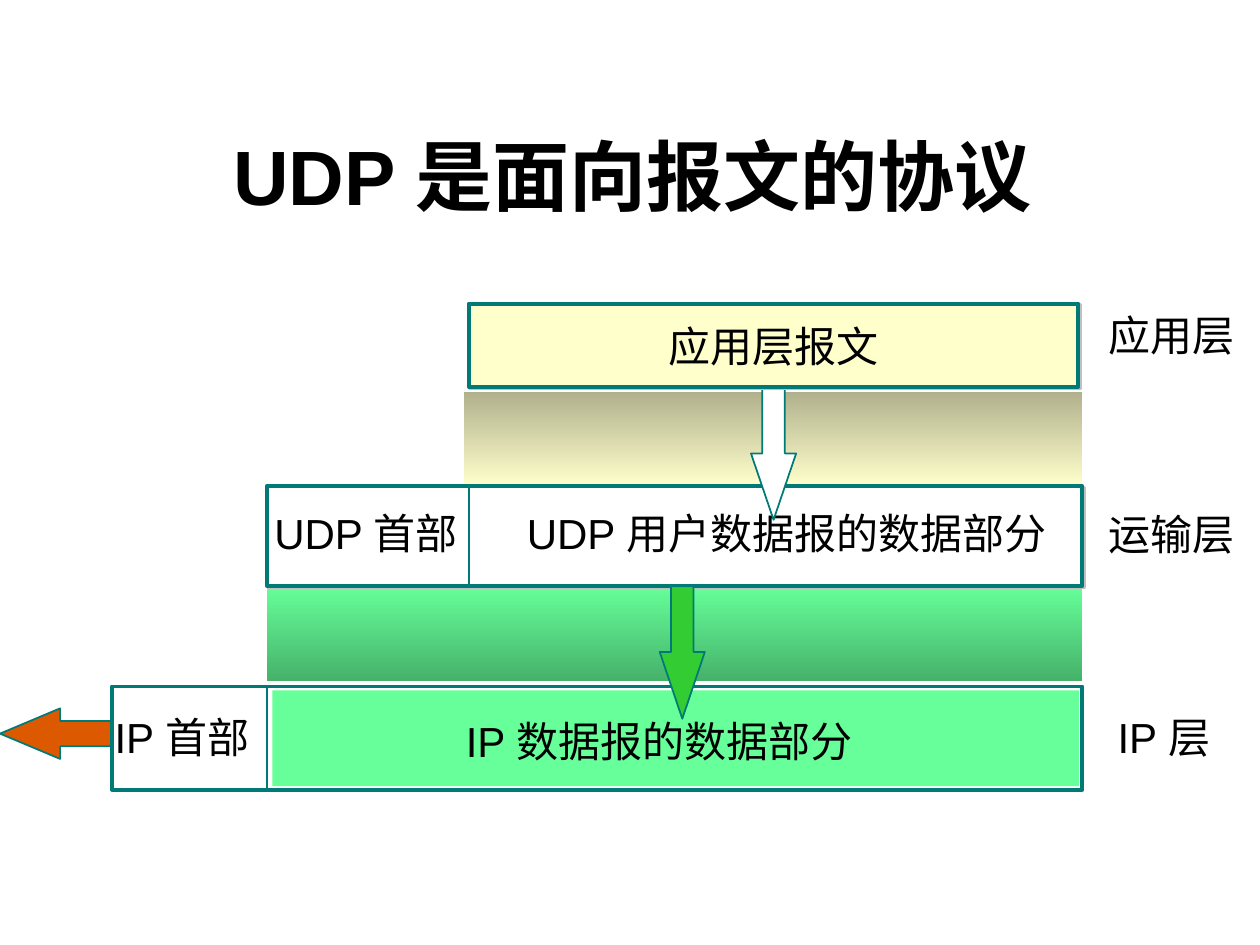
import pptx
import pptx.util
import pptx.dml.color
import pptx.enum.shapes
import pptx.enum.text
import pptx.oxml
import pptx.oxml.ns

Cm, Pt = pptx.util.Cm, pptx.util.Pt
Kind = pptx.enum.shapes.MSO_SHAPE
Anchor = pptx.enum.text.MSO_ANCHOR
Align = pptx.enum.text.PP_ALIGN

THEME = dict(
    font="Arial", head=44, body=24, thick=2.25, thin=1,
    ink="000000", edge="007A77", paper="FFFFFF", cream="FFFFCC",
    mint="66FF99", moss="46B16A", khaki="B1B18D", shade="C0C0C0",
    rust="DC5900", leaf="33CC33",
)

# All places are in cm: left, top, width, height
RIGHT = 21.82
TITLE = ("UDP 是面向报文的协议 ", (2.11, 0.53, 21.64, 4.06))
APP = ("应用层报文", (9.45, 6.12, 12.29, 1.68))
# left, top, height, colour above, colour below
BANDS = [
    (5.38, 11.81, 1.93, "mint", "moss"),
    (9.35, 7.9, 1.9, "khaki", "cream"),
]
# left, top, height, x of the divider, shadow
ROWS = [
    (5.38, 9.8, 2.01, 9.45, True),
    (2.26, 13.84, 2.08, 5.38, False),
]
DATA = (5.49, 13.92, 16.26, 1.93)
# text, left, top, width
LABELS = [
    ("UDP 首部", 5.28, 10.11, 4.42),
    ("UDP 用户数据报的数据部分", 10.37, 10.11, 11.2),
    ("IP 首部", 2.06, 14.22, 3.43),
    ("IP 数据报的数据部分", 9.14, 14.3, 8.51),
    ("应用层", 22.1, 6.12, 3.05),
    ("运输层", 22.1, 10.13, 3.05),
    ("IP 层", 22.28, 14.22, 2.59),
]
LABEL_H = 1.27
# kind, place, head length over arrow breadth, colour
EXIT = (Kind.LEFT_ARROW, (0, 14.28, 2.39, 1.02), 1.19, "rust")
DROPS = [
    (Kind.DOWN_ARROW, (13.3, 11.82, 0.91, 2.67), 1.48, "leaf"),
    (Kind.DOWN_ARROW, (15.14, 7.81, 0.91, 2.67), 1.47, "paper"),
]


def tint(name):
    return pptx.dml.color.RGBColor.from_string(THEME[name])


def cast(shape):
    """Give the shape a small hard shadow towards the lower right."""
    space = pptx.oxml.ns.nsdecls("a")
    node = pptx.oxml.parse_xml(
        f'<a:effectLst {space}><a:outerShdw blurRad="0" dist="17780" dir="2700000">'
        f'<a:srgbClr val="{THEME["shade"]}"/></a:outerShdw></a:effectLst>')
    props = shape._element.spPr
    props.replace(props.find(pptx.oxml.ns.qn("a:effectLst")), node)


def draw(slide, place, fill, line=None, kind=Kind.RECTANGLE, shadow=False):
    """Add a preset shape; two fill names make a gradient from top to bottom."""
    shape = slide.shapes.add_shape(kind, *map(Cm, place))
    shape.shadow.inherit = False
    if isinstance(fill, tuple):
        shape.fill.gradient()
        shape.fill.gradient_angle = 270
        for stop, name in zip(shape.fill.gradient_stops, fill):
            stop.color.rgb = tint(name)
    else:
        shape.fill.solid()
        shape.fill.fore_color.rgb = tint(fill)
    if line:
        shape.line.color.rgb = tint("edge")
        shape.line.width = Pt(THEME[line])
    else:
        shape.line.fill.background()
    if shadow:
        cast(shape)
    return shape


def point(slide, kind, place, ratio, fill):
    """Add a block arrow with a head of the given proportion."""
    arrow = draw(slide, place, fill, "thin", kind)
    arrow.adjustments[0] = 0.5
    arrow.adjustments[1] = ratio


def write(shape, text, size="body", bold=False, align=Align.LEFT,
          anchor=Anchor.TOP, wrap=False):
    frame = shape.text_frame
    frame.auto_size = pptx.enum.text.MSO_AUTO_SIZE.NONE
    frame.word_wrap = wrap
    frame.vertical_anchor = anchor
    para = frame.paragraphs[0]
    para.alignment = align
    run = para.add_run()
    run.text = text
    run.font.name = THEME["font"]
    run.font.size = Pt(THEME[size])
    run.font.bold = bold
    run.font.color.rgb = tint("ink")


def split(slide, x, top, height):
    """Add the upright line between header and data."""
    line = slide.shapes.add_connector(
        pptx.enum.shapes.MSO_CONNECTOR.STRAIGHT,
        Cm(x), Cm(top), Cm(x), Cm(top + height))
    line.line.color.rgb = tint("edge")
    line.line.width = Pt(THEME["thin"])
    line._element.spPr.append(pptx.oxml.parse_xml(
        f'<a:effectLst {pptx.oxml.ns.nsdecls("a")}/>'))


def main():
    deck = pptx.Presentation()
    deck.slide_width, deck.slide_height = Cm(25.4), Cm(19.05)
    slide = deck.slides.add_slide(deck.slide_layouts[5])

    text, place = TITLE
    title = slide.shapes.title
    title.left, title.top, title.width, title.height = map(Cm, place)
    write(title, text, size="head", bold=True, align=Align.CENTER,
          anchor=Anchor.BOTTOM, wrap=True)

    # The exit arrow starts behind the IP row
    point(slide, *EXIT)
    for left, top, height, *fill in BANDS:
        draw(slide, (left, top, RIGHT - left, height), tuple(fill))
    for left, top, height, x, shadow in ROWS:
        draw(slide, (left, top, RIGHT - left, height), "paper", "thick", shadow=shadow)
        split(slide, x, top, height)
    draw(slide, DATA, "mint")

    for text, left, top, width in LABELS:
        box = slide.shapes.add_textbox(*map(Cm, (left, top, width, LABEL_H)))
        write(box, text)

    for drop in DROPS:
        point(slide, *drop)

    text, place = APP
    box = draw(slide, place, "cream", "thick", shadow=True)
    write(box, text, align=Align.CENTER, anchor=Anchor.MIDDLE)

    deck.save("out.pptx")


if __name__ == "__main__":
    main()
